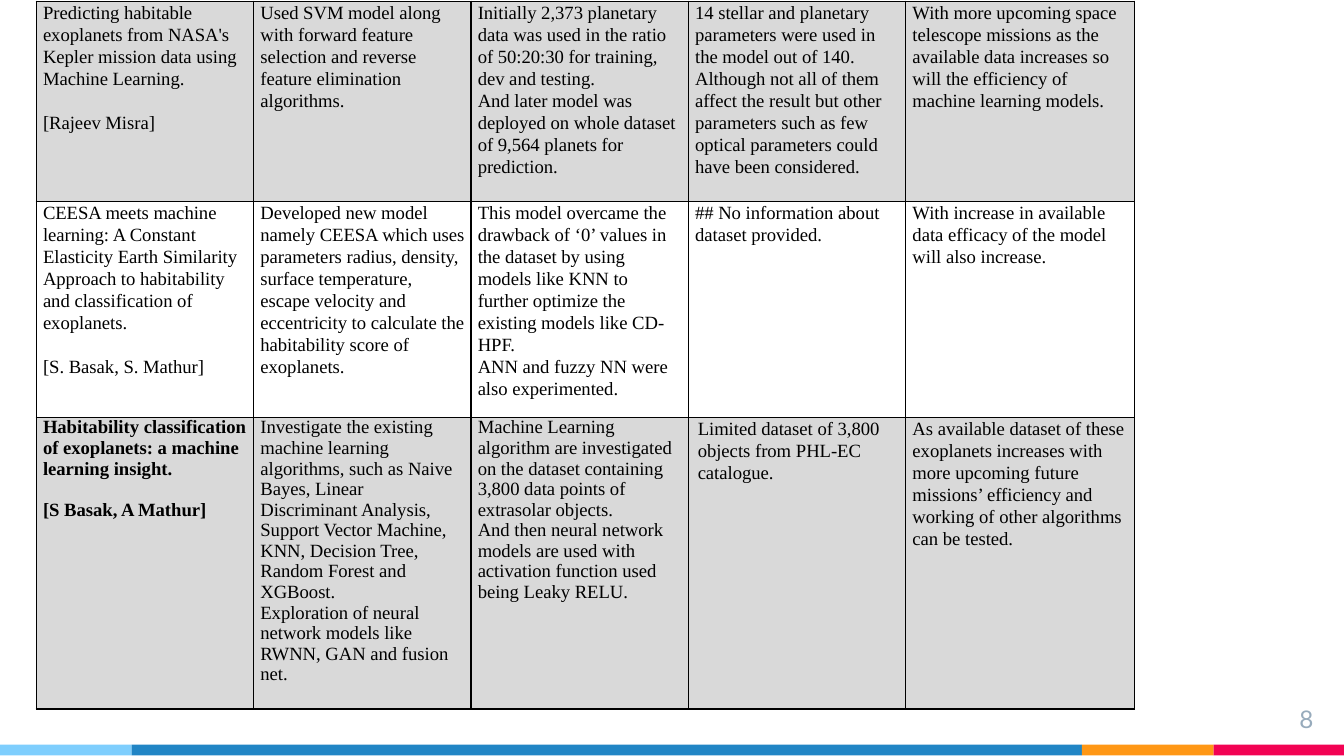
from pptx import Presentation
from pptx.dml.color import RGBColor
from pptx.enum.shapes import MSO_SHAPE
from pptx.enum.text import PP_ALIGN
from pptx.oxml import parse_xml
from pptx.oxml.ns import nsdecls
from pptx.util import Inches, Pt

RECTANGLE = MSO_SHAPE.RECTANGLE
LEFT, RIGHT = PP_ALIGN.LEFT, PP_ALIGN.RIGHT

COLUMN_WIDTHS = [6.47 / 4] * 4 + [1.7]
ROW_HEIGHTS = [1.49, 1.56, 2.16]
ROW_FILLS = ["D9D9D9", "FFFFFF", "D9D9D9"]
FOOTER_BANDS = [(0.98, "7ECEFD"), (7.07, "2185C5"), (0.98, "FF9715"), (0.97, "F20253")]

PAPERS = [
    [
        ["Predicting habitable exoplanets from NASA's Kepler mission data using Machine Learning.",
         "[Rajeev Misra]"],
        ["Used SVM model along with forward feature selection and reverse feature elimination "
         "algorithms."],
        ["Initially 2,373 planetary data was used in the ratio of 50:20:30 for training, dev and "
         "testing.",
         "And later model was deployed on whole dataset of 9,564 planets for prediction."],
        ["14 stellar and planetary parameters were used in the model out of 140.",
         "Although not all of them affect the result but other parameters such as few optical "
         "parameters could have been considered."],
        ["With more upcoming space telescope missions as the available data increases so will "
         "the efficiency of machine learning models."],
    ],
    [
        ["CEESA meets machine learning: A Constant Elasticity Earth Similarity Approach to "
         "habitability and classification of exoplanets.",
         "[S. Basak, S. Mathur]"],
        ["Developed new model namely CEESA which uses parameters radius, density, surface "
         "temperature, escape velocity and eccentricity to calculate the habitability score of "
         "exoplanets."],
        ["This model overcame the drawback of ‘0’ values in the dataset by using models like KNN "
         "to further optimize the existing models like CD-HPF.",
         "ANN and fuzzy NN were also experimented."],
        ["## No information about dataset provided."],
        ["With increase in available data efficacy of the model will also increase."],
    ],
    [
        ["Habitability classification of exoplanets: a machine learning insight.",
         "[S Basak, A Mathur]"],
        ["Investigate the existing machine learning algorithms, such as Naive Bayes, Linear "
         "Discriminant Analysis, Support Vector Machine, KNN, Decision Tree, Random Forest and "
         "XGBoost.",
         "Exploration of neural network models like RWNN, GAN and fusion net."],
        ["Machine Learning algorithm are investigated on the dataset containing 3,800 data "
         "points of extrasolar objects.",
         "And then neural network models are used with activation function used being Leaky RELU."],
        ["Limited dataset of 3,800 objects from PHL-EC catalogue."],
        ["As available dataset of these exoplanets increases with more upcoming future missions’ "
         "efficiency and working of other algorithms can be tested."],
    ],
]


def color(hex_code):
    """Return the colour for a hex string."""
    return RGBColor.from_string(hex_code)


def write(frame, paragraphs, font="Times New Roman", size=10, fill="000000", bold=False,
          align=LEFT, spacing=1.0, gap=0):
    """Write paragraphs into a text frame, with a gap in points between them."""
    frame.word_wrap = True
    for index, text in enumerate(paragraphs):
        paragraph = frame.paragraphs[0] if index == 0 else frame.add_paragraph()
        paragraph.alignment = align
        paragraph.line_spacing = spacing
        paragraph.space_before = Pt(gap if index else 0)
        run = paragraph.add_run()
        run.text = text
        run.font.name = font
        run.font.size = Pt(size)
        run.font.bold = bold
        run.font.color.rgb = color(fill)
        paragraph._p.append(parse_xml(f'<a:endParaRPr {nsdecls("a")} sz="{size * 100}"/>'))


def outline(cell, hex_code="000000", width=0.75):
    """Draw a solid border on the four sides of a cell."""
    properties = cell._tc.get_or_add_tcPr()
    for position, side in enumerate(("lnL", "lnR", "lnT", "lnB")):
        properties.insert(position, parse_xml(
            f'<a:{side} {nsdecls("a")} w="{Pt(width)}"><a:solidFill>'
            f'<a:srgbClr val="{hex_code}"/></a:solidFill></a:{side}>'))


def add_footer(slide, left, top, height):
    """Lay the coloured bands side by side along the foot of the slide."""
    for width, fill in FOOTER_BANDS:
        band = slide.shapes.add_shape(
            RECTANGLE, Inches(left), Inches(top), Inches(width), Inches(height))
        band.shadow.inherit = False
        band.fill.solid()
        band.fill.fore_color.rgb = color(fill)
        band.line.fill.background()
        left += width


def add_page_number(slide, left, top, width, height, number):
    """Place the page number in its box."""
    frame = slide.shapes.add_textbox(
        Inches(left), Inches(top), Inches(width), Inches(height)).text_frame
    frame.margin_left = frame.margin_right = Inches(0.1)
    frame.margin_top = frame.margin_bottom = Inches(0.1)
    write(frame, [number], font="Lato", size=13, fill="97ABBC", align=RIGHT)


def add_survey(slide, left, top):
    """Place the table of surveyed papers, one paper to a row."""
    survey = slide.shapes.add_table(
        len(PAPERS), len(COLUMN_WIDTHS), Inches(left), Inches(top),
        Inches(sum(COLUMN_WIDTHS)), Inches(sum(ROW_HEIGHTS))).table
    survey.first_row = survey.horz_banding = False
    for column, width in zip(survey.columns, COLUMN_WIDTHS):
        column.width = Inches(width)
    for row, height in zip(survey.rows, ROW_HEIGHTS):
        row.height = Inches(height)
    for r, paper in enumerate(PAPERS):
        for c, paragraphs in enumerate(paper):
            cell = survey.cell(r, c)
            last_paper = r == len(PAPERS) - 1
            tight = last_paper and c < 3
            margin = 0.07 if last_paper and c == 3 else 0.05
            cell.margin_left = cell.margin_right = Inches(margin)
            cell.margin_top = cell.margin_bottom = 0
            cell.fill.solid()
            cell.fill.fore_color.rgb = color(ROW_FILLS[r])
            outline(cell)
            write(cell.text_frame, paragraphs, bold=last_paper and c == 0,
                  spacing=1.0 if tight else 1.07,
                  gap=(11 if tight else 12) if c == 0 else 0)


def main():
    """Build the slide and save it."""
    deck = Presentation()
    deck.slide_width = Inches(10)
    deck.slide_height = deck.slide_width * 9 // 16
    slide = deck.slides.add_slide(deck.slide_layouts[6])
    add_footer(slide, 0, 5.54, 0.08)
    add_page_number(slide, 9.27, 5.14, 0.6, 0.34, "8")
    add_survey(slide, 0.27, 0.01)
    deck.save("out.pptx")


if __name__ == "__main__":
    main()
